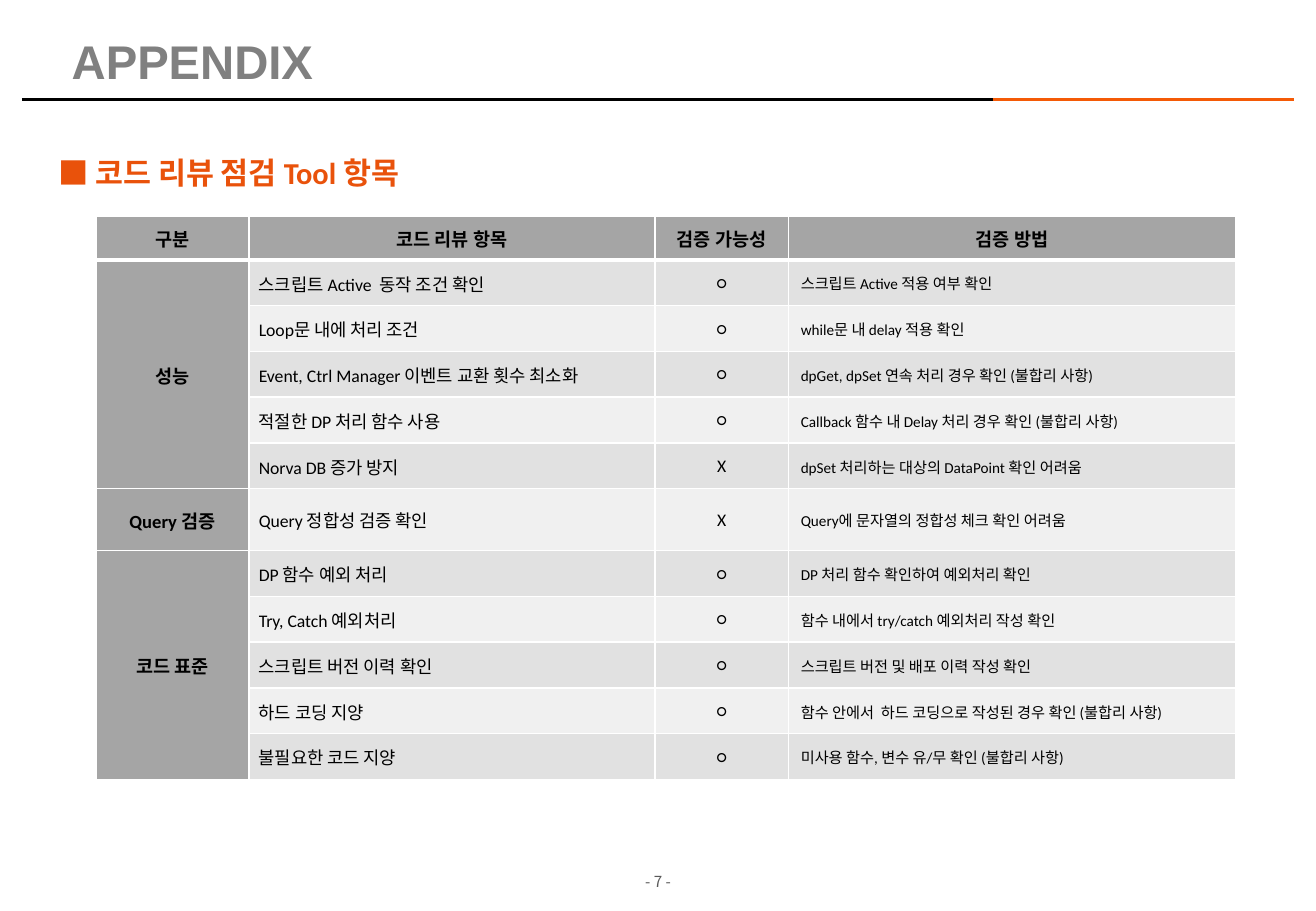
from lxml.etree import SubElement
from pptx import Presentation
from pptx.dml.color import RGBColor
from pptx.enum.shapes import MSO_CONNECTOR
from pptx.enum.text import MSO_ANCHOR, PP_ALIGN
from pptx.oxml import parse_xml
from pptx.oxml.ns import nsdecls, qn
from pptx.util import Inches, Pt

COLORS = {
    "black": "000000", "white": "FFFFFF", "orange": "F45A06",
    "heading": "E9520B", "title": "808080", "page": "595959",
    "header": "A5A5A5", "odd": "E1E1E1", "even": "F0F0F0",
}
HEADER = ["구분", "코드 리뷰 항목", "검증 가능성", "검증 방법"]
GROUPS = [
    ("성능", [
        ("스크립트 Active  동작 조건 확인", "○", "스크립트 Active 적용 여부 확인"),
        ("Loop문 내에 처리 조건", "○", "while문 내 delay 적용 확인"),
        ("Event, Ctrl Manager 이벤트 교환 횟수 최소화", "○",
         "dpGet, dpSet 연속 처리 경우 확인 (불합리 사항)"),
        ("적절한 DP 처리 함수 사용", "○",
         "Callback 함수 내 Delay 처리 경우 확인 (불합리 사항)"),
        ("Norva DB 증가 방지", "X", "dpSet 처리하는 대상의 DataPoint 확인 어려움"),
    ]),
    ("Query 검증", [
        ("Query 정합성 검증 확인", "X", "Query에 문자열의 정합성 체크 확인 어려움"),
    ]),
    ("코드 표준", [
        ("DP 함수 예외 처리", "○", "DP 처리 함수 확인하여 예외처리 확인"),
        ("Try, Catch 예외처리", "○", "함수 내에서 try/catch 예외처리 작성 확인"),
        ("스크립트 버전 이력 확인", "○", "스크립트 버전 및 배포 이력 작성 확인"),
        ("하드 코딩 지양", "○",
         "함수 안에서  하드 코딩으로 작성된 경우 확인 (불합리 사항)"),
        ("불필요한 코드 지양", "○", "미사용 함수, 변수 유/무 확인 (불합리 사항)"),
    ]),
]
COL_WIDTHS = [1.26, 3.34, 1.1, 3.68]
COL_SIZES = [11, 10.5, 10.5, 9]
COL_INDENTS = [0.01, 0.08, 0.01, 0.1]
TABLE_HEIGHT, HEADER_HEIGHT, QUERY_HEIGHT = 4.64, 0.36, 0.51


def write(tf, text, size, color, font="Calibri", bold=False, align=PP_ALIGN.LEFT):
    tf.text = text
    p = tf.paragraphs[0]
    p.alignment = align
    f = p.runs[0].font
    f.name, f.size, f.bold = font, Pt(size), bold
    f.color.rgb = RGBColor.from_string(COLORS[color])
    return p


def fill_cell(cell, row, col, text, fill):
    heading = row == 0 or col == 0
    centred = heading or col == 2
    cell.vertical_anchor = MSO_ANCHOR.MIDDLE
    cell.margin_left = Inches(0.01 if centred else COL_INDENTS[col])
    cell.margin_right = cell.margin_top = Inches(0.01)
    cell.margin_bottom = 0
    cell.fill.solid()
    cell.fill.fore_color.rgb = RGBColor.from_string(COLORS[fill])
    if text:
        write(cell.text_frame, text, 11 if heading else COL_SIZES[col], "black",
              bold=heading, align=PP_ALIGN.CENTER if centred else PP_ALIGN.LEFT)
    widths = {"L": 1, "R": 1, "T": 3 if row == 1 else 1, "B": 3 if row == 0 else 1}
    for i, (side, width) in enumerate(widths.items()):
        border = parse_xml(
            f'<a:ln{side} {nsdecls("a")} w="{Pt(width)}"><a:solidFill>'
            f'<a:srgbClr val="{COLORS["white"]}"/></a:solidFill></a:ln{side}>')
        cell._tc.get_or_add_tcPr().insert(i, border)


prs = Presentation()
prs.slide_width, prs.slide_height = Inches(10.83), Inches(7.5)
s = prs.slides.add_slide(prs.slide_layouts[5])

# Title and rule
title = s.shapes.title
title.left, title.top = Inches(0.49), Inches(0.25)
title.width, title.height = Inches(7.5), Inches(0.55)
title.text_frame.vertical_anchor = MSO_ANCHOR.MIDDLE
p = write(title.text_frame, "APPENDIX", 28, "title", font="Arial", bold=True)
p.line_spacing = 0.9

for x1, x2, color in [(0.18, 10.02, "black"), (8.17, 10.65, "orange")]:
    rule = s.shapes.add_connector(
        MSO_CONNECTOR.STRAIGHT, Inches(x1), Inches(0.82), Inches(x2), Inches(0.82))
    rule.line.width = Pt(2.25)
    rule.line.color.rgb = RGBColor.from_string(COLORS[color])
    SubElement(rule._element.spPr, qn("a:effectLst"))

# Section heading and page number
heading = s.shapes.add_textbox(Inches(0.38), Inches(1.07), Inches(10.22), Inches(0.56))
heading.text_frame.word_wrap = True
p = write(heading.text_frame, "■ 코드 리뷰 점검 Tool 항목", 18, "heading", bold=True)
p.line_spacing = 1.5

page = s.shapes.add_textbox(Inches(5.02), Inches(7.13), Inches(0.79), Inches(0.28))
page.text_frame.word_wrap = True
write(page.text_frame, "- 7 -", 9, "page", font="Noto Sans CJK KR",
      align=PP_ALIGN.CENTER)

# Checklist table
row_count = 1 + sum(len(items) for _, items in GROUPS)
table = s.shapes.add_table(row_count, len(HEADER), Inches(0.79), Inches(1.78),
                           Inches(sum(COL_WIDTHS)), Inches(TABLE_HEIGHT)).table
for column, width in zip(table.columns, COL_WIDTHS):
    column.width = Inches(width)
item_height = (TABLE_HEIGHT - HEADER_HEIGHT - QUERY_HEIGHT) / (row_count - 2)

table.rows[0].height = Inches(HEADER_HEIGHT)
for col, text in enumerate(HEADER):
    fill_cell(table.cell(0, col), 0, col, text, "header")

row = 1
for group, items in GROUPS:
    first = row
    for item in items:
        table.rows[row].height = Inches(QUERY_HEIGHT if len(items) == 1 else item_height)
        fill_cell(table.cell(row, 0), row, 0, group if row == first else "", "header")
        for col, text in enumerate(item, start=1):
            fill_cell(table.cell(row, col), row, col, text, "odd" if row % 2 else "even")
        row += 1
    if len(items) > 1:
        table.cell(first, 0).merge(table.cell(row - 1, 0))

prs.save("out.pptx")
